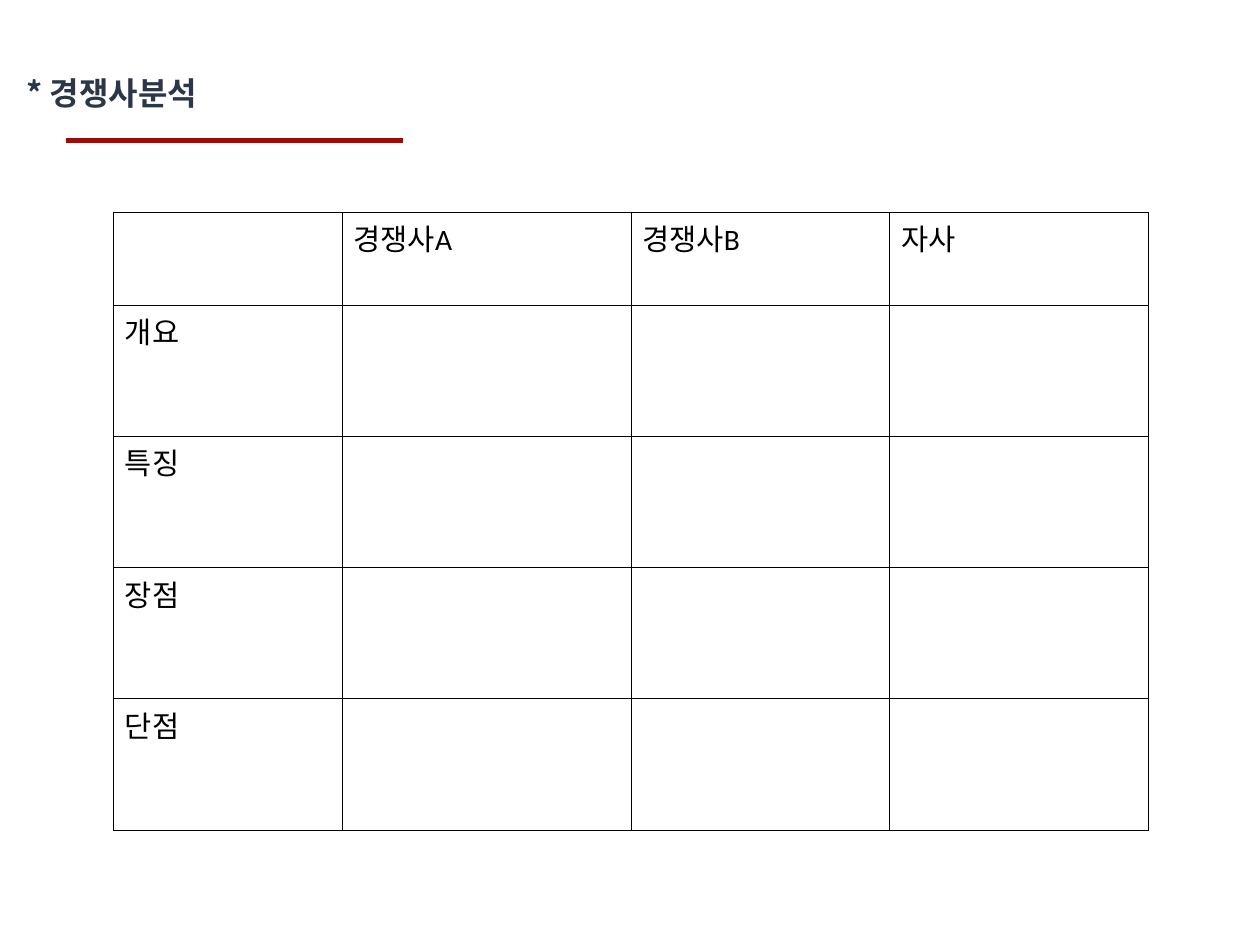
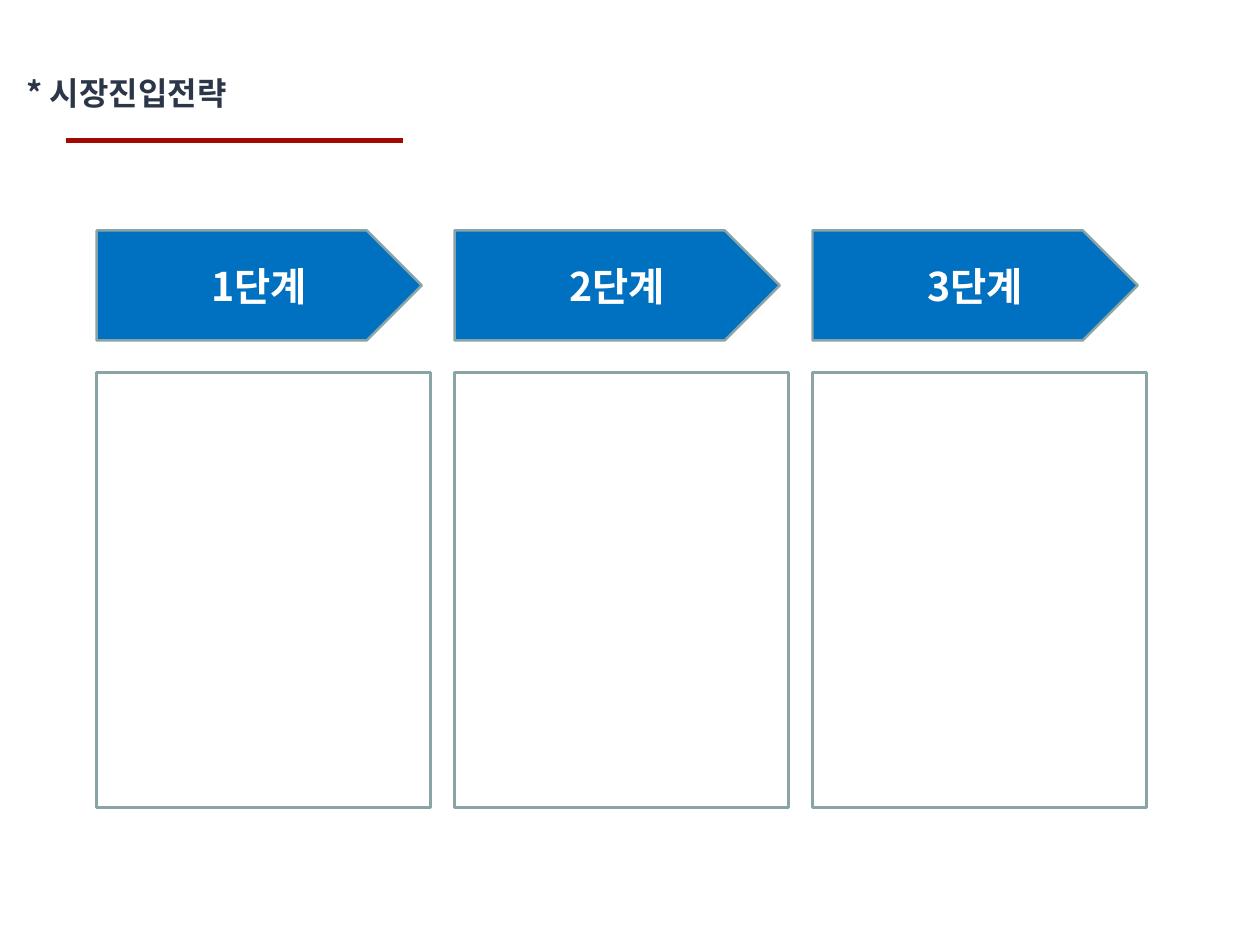
from dataclasses import dataclass

from lxml.etree import SubElement
from pptx import Presentation
from pptx.dml.color import RGBColor
from pptx.enum.shapes import MSO_CONNECTOR, MSO_SHAPE
from pptx.enum.text import MSO_ANCHOR, PP_ALIGN
from pptx.oxml import parse_xml
from pptx.oxml.ns import nsdecls, qn
from pptx.shapes.autoshape import Shape
from pptx.slide import Slide
from pptx.table import _Cell as Cell
from pptx.text.text import TextFrame
from pptx.util import Inches, Pt


@dataclass(frozen=True)
class Style:
    size: int
    color: str
    font: str = "Noto Sans CJK KR"
    bold: bool = True


@dataclass(frozen=True)
class Theme:
    title: Style = Style(26, "2B3749")
    cell: Style = Style(24, "000000", "Calibri", False)
    step: Style = Style(32, "FFFFFF")
    asian: str = "Noto Sans CJK KR"
    rule: str = "A40800"
    arrow: str = "0070C0"
    panel: str = "FFFFFF"
    edge: str = "89A4A7"
    grid: str = "000000"


@dataclass(frozen=True)
class Box:
    left: float
    top: float
    width: float
    height: float

    def emu(self) -> tuple[int, int, int, int]:
        return (Inches(self.left), Inches(self.top),
                Inches(self.width), Inches(self.height))


THEME = Theme()
COLS = (2.58, 3.26, 2.92, 2.92)
ROWS = (1.05, 1.48, 1.48, 1.48, 1.48)
HEADS = ("경쟁사A", "경쟁사B", "자사")
LABELS = ("개요", "특징", "장점", "단점")
STEPS = ("1단계", "2단계", "3단계")
LEFT, PITCH = 1.09, 4.04


def write(frame: TextFrame, text: str, style: Style) -> None:
    run = frame.paragraphs[0].add_run()
    run.text = text
    font = run.font
    font.size = Pt(style.size)
    font.bold = style.bold
    font.color.rgb = RGBColor.from_string(style.color)
    font.name = style.font
    SubElement(run._r.get_or_add_rPr(), qn("a:ea"), typeface=THEME.asian)


def head(slide: Slide, text: str) -> None:
    """Draw the title and the rule below it."""
    rule = slide.shapes.add_connector(
        MSO_CONNECTOR.STRAIGHT,
        Inches(0.75), Inches(1.58), Inches(4.55), Inches(1.58))
    rule.line.color.rgb = RGBColor.from_string(THEME.rule)
    rule.line.width = Pt(4)
    SubElement(rule._element.spPr, qn("a:effectLst"))
    frame = slide.shapes.add_textbox(*Box(0.2, 0.78, 13.84, 0.44).emu()).text_frame
    frame.word_wrap = True
    write(frame, text, THEME.title)


def border(cell: Cell) -> None:
    props = cell._tc.get_or_add_tcPr()
    for spot, side in enumerate("LRTB"):
        props.insert(spot, parse_xml(
            f'<a:ln{side} {nsdecls("a")} w="{int(Pt(0.45))}"><a:solidFill>'
            f'<a:srgbClr val="{THEME.grid}"/></a:solidFill></a:ln{side}>'))


def rivals(slide: Slide) -> None:
    head(slide, "* 경쟁사분석")
    area = Box(1.28, 2.39, sum(COLS), sum(ROWS))
    table = slide.shapes.add_table(len(ROWS), len(COLS), *area.emu()).table
    table.first_row = False
    table.horz_banding = False
    for col, width in zip(table.columns, COLS):
        col.width = Inches(width)
    for row, height in zip(table.rows, ROWS):
        row.height = Inches(height)
    for cell in table.iter_cells():
        cell.margin_left = cell.margin_right = Inches(0.13)
        cell.fill.background()
        border(cell)
    for col, text in enumerate(HEADS, 1):
        write(table.cell(0, col).text_frame, text, THEME.cell)
    for row, text in enumerate(LABELS, 1):
        write(table.cell(row, 0).text_frame, text, THEME.cell)


def block(slide: Slide, kind: MSO_SHAPE, box: Box, fill: str) -> Shape:
    shape = slide.shapes.add_shape(kind, *box.emu())
    shape.shadow.inherit = False
    shape.fill.solid()
    shape.fill.fore_color.rgb = RGBColor.from_string(fill)
    shape.line.color.rgb = RGBColor.from_string(THEME.edge)
    shape.line.width = Pt(2)
    return shape


def entry(slide: Slide) -> None:
    head(slide, "* 시장진입전략")
    for spot, text in enumerate(STEPS):
        left = LEFT + spot * PITCH
        arrow = block(slide, MSO_SHAPE.PENTAGON,
                      Box(left, 2.6, 3.67, 1.24), THEME.arrow)
        arrow.adjustments[0] = 0.5
        frame = arrow.text_frame
        # Balances the inset of the arrow tip, so text sits mid-shape
        frame.margin_left = Inches(0.41)
        frame.vertical_anchor = MSO_ANCHOR.MIDDLE
        frame.paragraphs[0].alignment = PP_ALIGN.CENTER
        write(frame, text, THEME.step)
        block(slide, MSO_SHAPE.RECTANGLE,
              Box(left, 4.2, 3.77, 4.91), THEME.panel)


def main() -> None:
    deck = Presentation()
    deck.slide_width = Inches(14.22)
    deck.slide_height = Inches(10.66)
    for draw in (rivals, entry):
        draw(deck.slides.add_slide(deck.slide_layouts[6]))
    deck.save("out.pptx")


if __name__ == "__main__":
    main()
